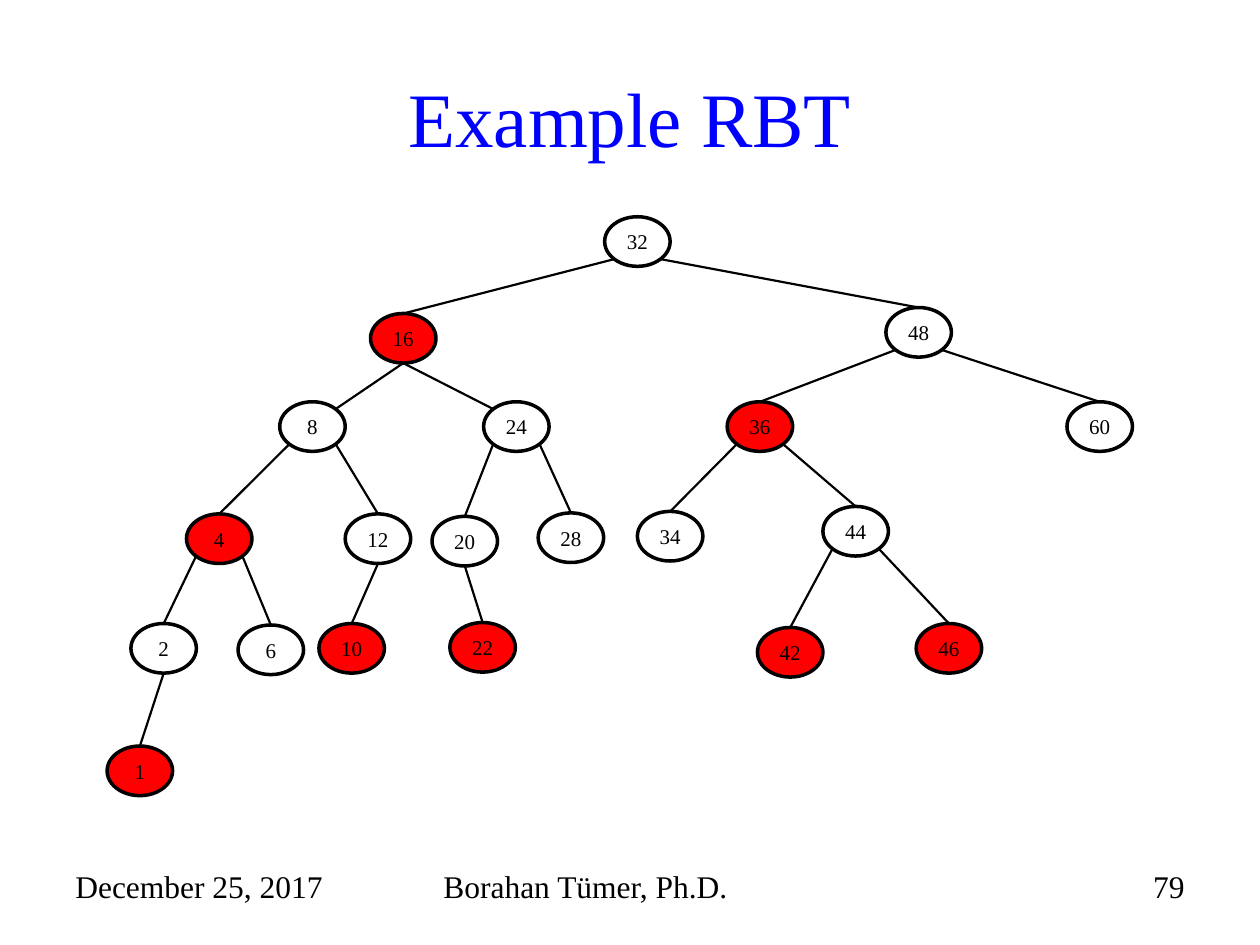
from typing import NamedTuple

from lxml import etree
from pptx import Presentation
from pptx.dml.color import RGBColor
from pptx.enum.shapes import MSO_CONNECTOR, MSO_SHAPE
from pptx.enum.text import MSO_ANCHOR, PP_ALIGN
from pptx.oxml.ns import qn
from pptx.util import Cm, Pt

BLACK = RGBColor(0x00, 0x00, 0x00)
BLUE = RGBColor(0x00, 0x00, 0xFF)
RED = RGBColor(0xFF, 0x00, 0x00)

LEFT, CENTER, RIGHT = PP_ALIGN.LEFT, PP_ALIGN.CENTER, PP_ALIGN.RIGHT
TOP, MIDDLE = MSO_ANCHOR.TOP, MSO_ANCHOR.MIDDLE
OVAL, STRAIGHT = MSO_SHAPE.OVAL, MSO_CONNECTOR.STRAIGHT

FONT = "Times New Roman"
NODE_W, NODE_H = 1.32, 1.0
DIAGONAL = 0.71
SITES = {
    "top": (0, -1),
    "bottom": (0, 1),
    "top left": (-DIAGONAL, -DIAGONAL),
    "top right": (DIAGONAL, -DIAGONAL),
    "bottom left": (-DIAGONAL, DIAGONAL),
    "bottom right": (DIAGONAL, DIAGONAL),
}


class Node(NamedTuple):
    key: int
    x: float
    y: float
    red: bool = False


class Edge(NamedTuple):
    parent: int
    child: int
    start: str
    end: str = "top"


class Footer(NamedTuple):
    text: str
    x: float
    w: float
    align: PP_ALIGN


NODES = [
    Node(32, 12.19, 4.37),
    Node(16, 7.47, 6.32, True),
    Node(48, 17.86, 6.2),
    Node(8, 5.64, 8.1),
    Node(24, 9.75, 8.1),
    Node(36, 14.66, 8.1, True),
    Node(60, 21.51, 8.1),
    Node(4, 3.76, 10.36, True),
    Node(12, 6.96, 10.36),
    Node(20, 8.71, 10.41),
    Node(28, 10.85, 10.34),
    Node(34, 12.85, 10.31),
    Node(44, 16.59, 10.21),
    Node(2, 2.64, 12.57),
    Node(6, 4.8, 12.6),
    Node(10, 6.43, 12.57, True),
    Node(22, 9.07, 12.55, True),
    Node(42, 15.27, 12.65, True),
    Node(46, 18.47, 12.57, True),
    Node(1, 2.16, 15.04, True),
]

EDGES = [
    Edge(32, 16, "bottom left"),
    Edge(32, 48, "bottom right"),
    Edge(16, 8, "bottom", "top right"),
    Edge(16, 24, "bottom", "top left"),
    Edge(48, 36, "bottom left"),
    Edge(48, 60, "bottom right"),
    Edge(8, 4, "bottom left"),
    Edge(8, 12, "bottom right"),
    Edge(24, 20, "bottom left"),
    Edge(24, 28, "bottom right"),
    Edge(36, 34, "bottom left"),
    Edge(36, 44, "bottom right"),
    Edge(4, 2, "bottom left"),
    Edge(4, 6, "bottom right"),
    Edge(12, 10, "bottom"),
    Edge(20, 22, "bottom"),
    Edge(44, 42, "bottom left"),
    Edge(44, 46, "bottom right"),
    Edge(2, 1, "bottom"),
]

FOOTERS = [
    Footer("December 25, 2017", 1.27, 5.92, LEFT),
    Footer("Borahan Tümer, Ph.D.", 8.69, 8.05, LEFT),
    Footer("79", 18.21, 5.92, RIGHT),
]


def set_all(obj, values: dict) -> None:
    for name, value in values.items():
        setattr(obj, name, value)


def write(sp, text: str, size: float, color: RGBColor, align: PP_ALIGN,
          frame: dict) -> None:
    tf = sp.text_frame
    set_all(tf, frame)
    p = tf.paragraphs[0]
    p.alignment = align
    r = p.add_run()
    r.text = text
    set_all(r.font, {"name": FONT, "size": Pt(size)})
    r.font.color.rgb = color


def draw_node(slide, node: Node):
    sp = slide.shapes.add_shape(OVAL, Cm(node.x), Cm(node.y), Cm(NODE_W), Cm(NODE_H))
    sp.shadow.inherit = False
    if node.red:
        sp.fill.solid()
        sp.fill.fore_color.rgb = RED
    else:
        sp.fill.background()
    sp.line.color.rgb = BLACK
    sp.line.width = Pt(2)
    margins = dict.fromkeys(
        ("margin_left", "margin_right", "margin_top", "margin_bottom"), 0)
    write(sp, str(node.key), 12, BLACK, CENTER,
          {**margins, "word_wrap": False, "vertical_anchor": MIDDLE})
    return sp


def site_point(node: Node, site: str) -> tuple:
    dx, dy = SITES[site]
    return (Cm(node.x + NODE_W / 2 * (1 + dx)), Cm(node.y + NODE_H / 2 * (1 + dy)))


def draw_edge(slide, edge: Edge, nodes: dict, ovals: dict) -> None:
    start = site_point(nodes[edge.parent], edge.start)
    end = site_point(nodes[edge.child], edge.end)
    line = slide.shapes.add_connector(STRAIGHT, *start, *end)
    line.line.color.rgb = BLACK
    line.line.width = Pt(1.25)
    etree.SubElement(line._element.spPr, qn("a:effectLst"))
    if edge.end == "top":
        line.end_connect(ovals[edge.child], 0)


def draw_footer(slide, footer: Footer) -> None:
    sp = slide.shapes.add_textbox(Cm(footer.x), Cm(17.35), Cm(footer.w), Cm(1.32))
    write(sp, footer.text, 18, BLACK, footer.align,
          {"word_wrap": True, "vertical_anchor": TOP})


def main() -> None:
    prs = Presentation()
    set_all(prs, {"slide_width": Cm(25.4), "slide_height": Cm(19.05)})
    slide = prs.slides.add_slide(prs.slide_layouts[5])

    title = slide.shapes.title
    set_all(title, {"left": Cm(1.27), "top": Cm(0.76),
                    "width": Cm(22.86), "height": Cm(3.18)})
    write(title, "Example RBT", 44, BLUE, CENTER,
          {"word_wrap": True, "vertical_anchor": MIDDLE})

    nodes = {node.key: node for node in NODES}
    ovals = {node.key: draw_node(slide, node) for node in NODES}
    for edge in EDGES:
        draw_edge(slide, edge, nodes, ovals)
    for footer in FOOTERS:
        draw_footer(slide, footer)

    prs.save("out.pptx")


if __name__ == "__main__":
    main()
